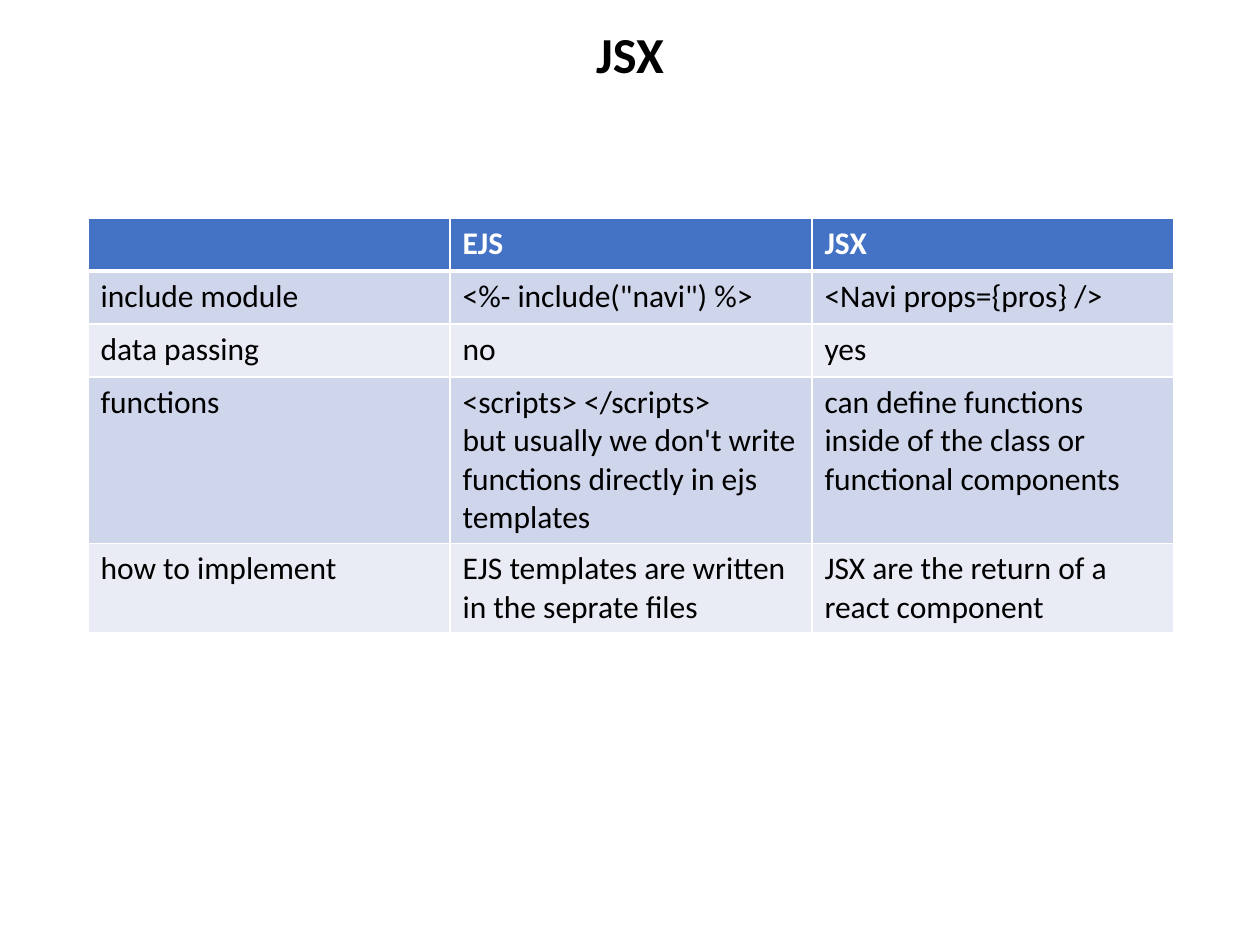
"""Build the JSX slide: a title above a table comparing EJS with JSX."""
from lxml import etree
from pptx import Presentation
from pptx import util as u
from pptx.dml.color import RGBColor
from pptx.enum import text
from pptx.oxml.ns import qn

BLACK = RGBColor(0x00, 0x00, 0x00)
WHITE = RGBColor(0xFF, 0xFF, 0xFF)
HEADER_BLUE = RGBColor(0x44, 0x72, 0xC4)
BAND_DARK = RGBColor(0xCF, 0xD5, 0xEA)
BAND_LIGHT = RGBColor(0xE9, 0xEB, 0xF5)
ROW_HEIGHT = 53
COMPARISON = [
    ["", "EJS", "JSX"],
    ["include module", '<%- include("navi") %>', "<Navi props={pros} />"],
    ["data passing", "no ", "yes"],
    ["functions",
     "<scripts> </scripts> \nbut usually we don't write functions directly in ejs templates",
     "can define functions inside of the class or functional components"],
    ["how to implement", "EJS templates are written in the seprate files",
     "JSX are the return of a react component"],
]


def px(pixels):
    return u.Emu(round(pixels * 914400 / 126))


def format_paragraph(paragraph, size, bold, color):
    for name, value in {"name": "Calibri", "size": u.Pt(size), "bold": bold}.items():
        setattr(paragraph.font, name, value)
    paragraph.font.color.rgb = color


presentation = Presentation()
presentation.slide_width, presentation.slide_height = px(1260), px(945)
slide = presentation.slides.add_slide(presentation.slide_layouts[5])

title = slide.shapes.title
for name, value in {"left": 87, "top": 21, "width": 1086, "height": 73}.items():
    setattr(title, name, px(value))
title.text_frame.text = "JSX"
title.text_frame.vertical_anchor = text.MSO_ANCHOR.MIDDLE
heading = title.text_frame.paragraphs[0]
heading.alignment = text.PP_ALIGN.CENTER
heading.line_spacing = 0.9
format_paragraph(heading, 28.8, True, BLACK)

frame = slide.shapes.add_table(len(COMPARISON), 3, px(88), px(218), px(1086),
                               px(ROW_HEIGHT * len(COMPARISON)))
table = frame.table
for row_index, row in enumerate(COMPARISON):
    is_header = row_index == 0
    band = BAND_DARK if row_index % 2 else BAND_LIGHT
    for column_index, words in enumerate(row):
        cell = table.cell(row_index, column_index)
        cell.text = words
        for paragraph in cell.text_frame.paragraphs:
            format_paragraph(paragraph, 18, is_header, WHITE if is_header else BLACK)
        properties = cell._tc.get_or_add_tcPr()
        for side in "LRTB":
            thick = (row_index, side) in [(0, "B"), (1, "T")]
            border = etree.SubElement(properties, qn(f"a:ln{side}"),
                                      w=str(u.Pt(3 if thick else 1)))
            fill = etree.SubElement(border, qn("a:solidFill"))
            etree.SubElement(fill, qn("a:srgbClr"), val=str(WHITE))
        cell.fill.solid()
        cell.fill.fore_color.rgb = HEADER_BLUE if is_header else band
frame.height = px(374)

presentation.save("out.pptx")
